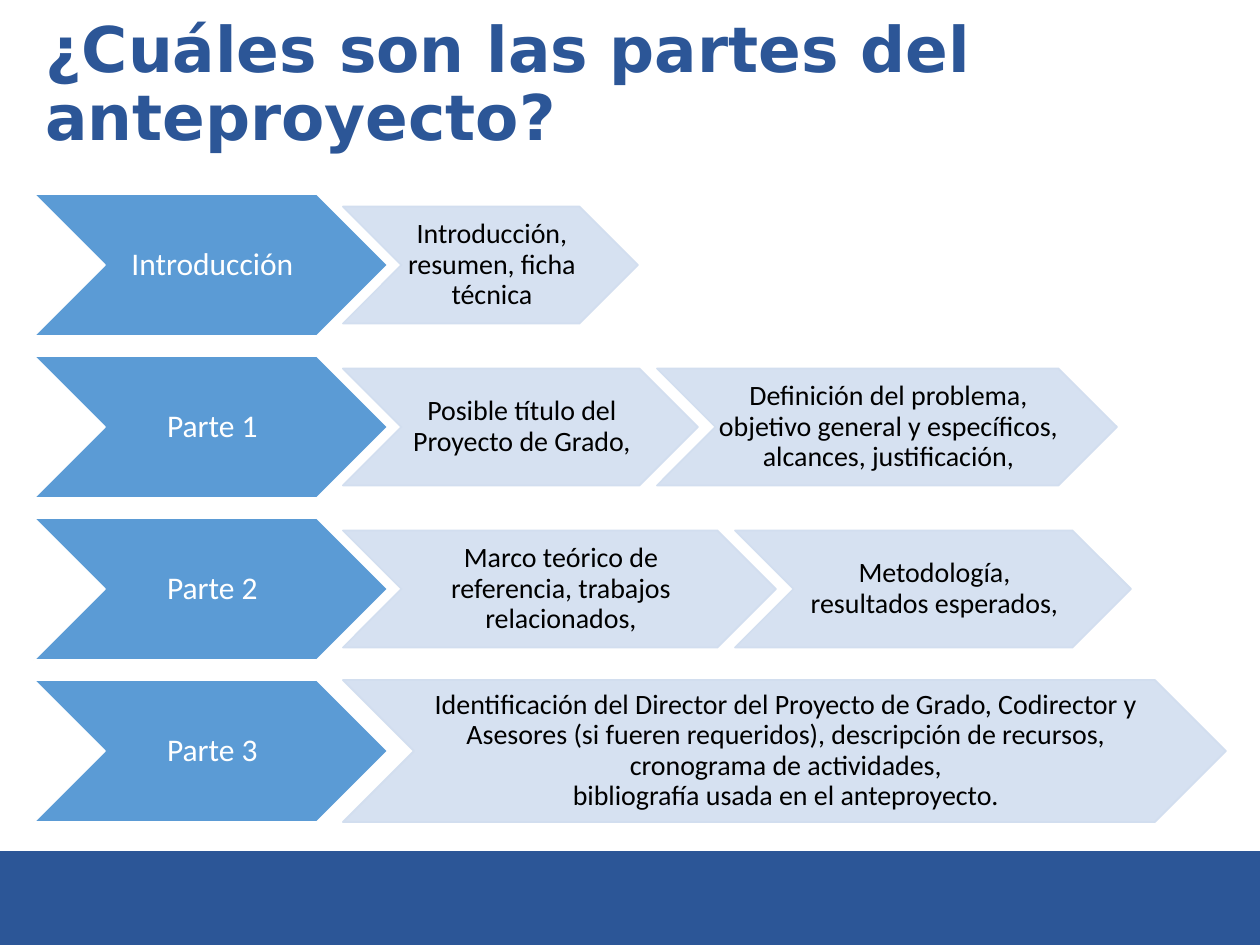
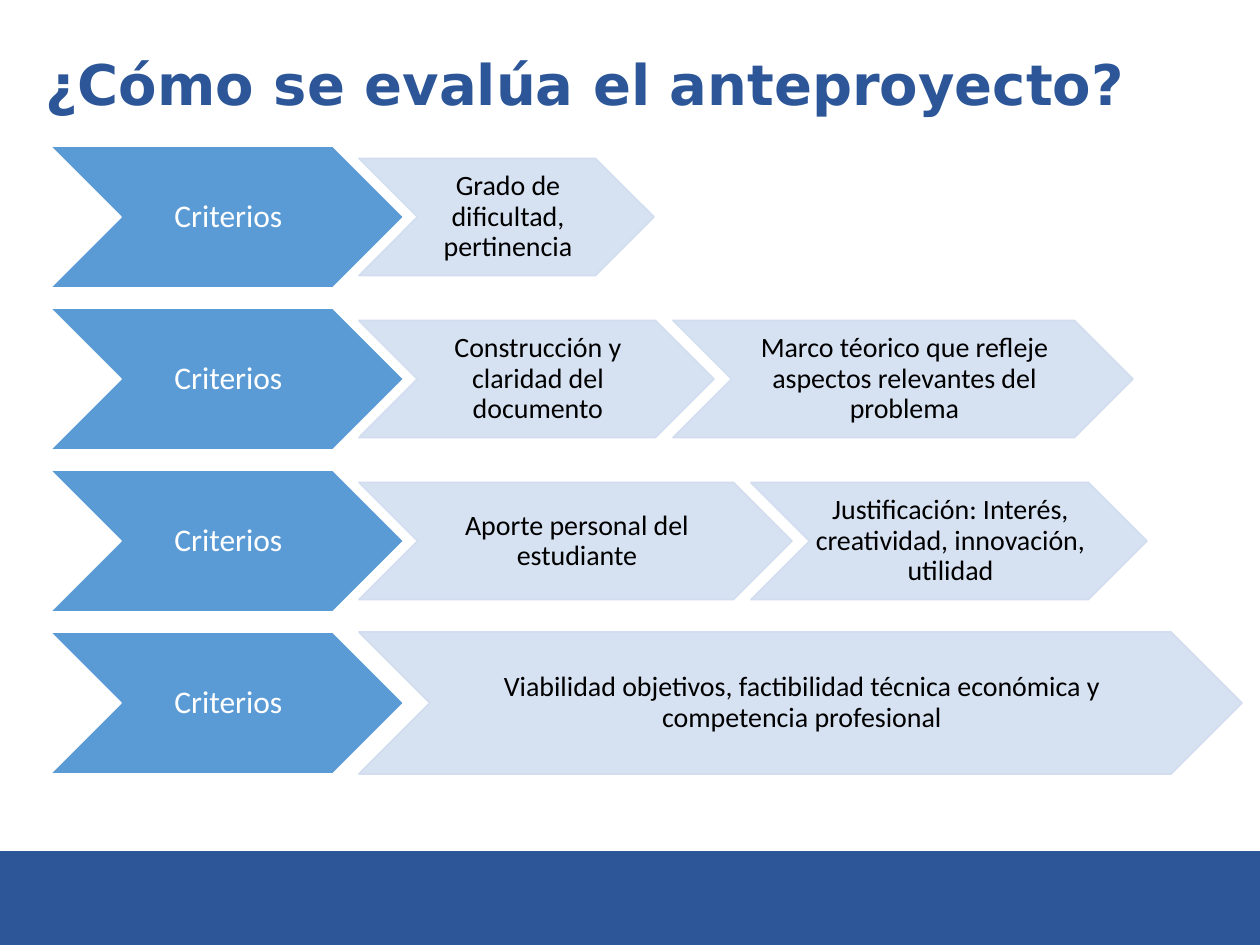
"""Build two slides on the parts and the grading of a draft project."""
from pptx import Presentation
from pptx.dml.color import RGBColor
from pptx.enum.shapes import MSO_SHAPE
from pptx.enum.text import MSO_ANCHOR, PP_ALIGN
from pptx.util import Emu, Pt

COLORS = {"navy": "2C5697", "blue": "5B9BD5", "pale": "D6E1F1",
          "edge": "D2DEEF", "white": "FFFFFF", "black": "000000"}
WIDE, HIGH = 1260, 945
BAND_TOP = 852
HEAD_W, HEAD_H, PITCH = 354, 142, 162
STEP_H, HEAD_LAP, STEP_LAP = 117, 45, 41
WIDTHS = [[295], [355, 460], [433, 396], [883]]

SLIDES = [
    {"title": "¿Cuáles son las partes del anteproyecto?",
     "size": 36, "box": (33, 10, 1193, 152), "start": (34, 194),
     "rows": [
         ("Introducción", ["Introducción, resumen, ficha técnica"]),
         ("Parte 1", ["Posible título del Proyecto de Grado,",
                      "Definición del problema,\nobjetivo general y "
                      "específicos, alcances, justificación,"]),
         ("Parte 2", ["Marco teórico de referencia, trabajos relacionados,",
                      "Metodología, resultados esperados,"]),
         ("Parte 3", ["Identificación del Director del Proyecto de Grado, "
                      "Codirector y Asesores (si fueren requeridos), "
                      "descripción de recursos, cronograma de actividades,\n"
                      "bibliografía usada en el anteproyecto."]),
     ]},
    {"title": "¿Cómo se evalúa el anteproyecto?",
     "size": 32, "box": (33, 28, 1193, 118), "start": (50, 146),
     "rows": [
         ("Criterios", ["Grado de dificultad, pertinencia"]),
         ("Criterios", ["Construcción y claridad del documento",
                        "Marco téorico que refleje aspectos relevantes "
                        "del problema"]),
         ("Criterios", ["Aporte personal del estudiante",
                        "Justificación: Interés, creatividad, innovación, "
                        "utilidad"]),
         ("Criterios", ["Viabilidad objetivos, factibilidad técnica "
                        "económica y competencia profesional"]),
     ]},
]


def px(num):
    return Emu(round(num * 914400 / 126))


def tint(name):
    return RGBColor.from_string(COLORS[name])


def add_form(slide, kind, box, fill, edge):
    form = slide.shapes.add_shape(kind, *map(px, box))
    form.shadow.inherit = False
    form.fill.solid()
    form.fill.fore_color.rgb = tint(fill)
    form.line.color.rgb = tint(edge)
    form.line.width = Pt(1)
    return form


def write(shape, text, font, size, color, bold=False, align=PP_ALIGN.LEFT):
    frame = shape.text_frame
    frame.word_wrap = True
    frame.vertical_anchor = MSO_ANCHOR.MIDDLE
    para = frame.paragraphs[0]
    para.text = text
    para.alignment = align
    para.line_spacing = 0.9
    for run in para.runs:
        run.font.name = font
        run.font.size = Pt(size)
        run.font.bold = bold
        run.font.color.rgb = tint(color)


def add_arrow(slide, box, text, fill, edge, size, color):
    arrow = add_form(slide, MSO_SHAPE.CHEVRON, box, fill, edge)
    frame = arrow.text_frame
    frame.margin_left, frame.margin_right = px(3), 0
    frame.margin_top = frame.margin_bottom = px(1)
    write(arrow, text, "Calibri", size, color, align=PP_ALIGN.CENTER)


def add_rows(slide, rows, start):
    left, top = start
    for (head, steps), widths in zip(rows, WIDTHS):
        add_arrow(slide, (left, top, HEAD_W, HEAD_H), head,
                  "blue", "white", 18, "white")
        x = left + HEAD_W - HEAD_LAP
        high = HEAD_H if widths == WIDTHS[-1] else STEP_H
        y = top + (HEAD_H - high) / 2
        for text, width in zip(steps, widths):
            add_arrow(slide, (x, y, width, high), text,
                      "pale", "edge", 16, "black")
            x += width - STEP_LAP
        top += PITCH


def main():
    deck = Presentation()
    deck.slide_width, deck.slide_height = px(WIDE), px(HIGH)
    for page in SLIDES:
        slide = deck.slides.add_slide(deck.slide_layouts[6])
        add_form(slide, MSO_SHAPE.RECTANGLE,
                 (0, BAND_TOP, WIDE, HIGH - BAND_TOP), "navy", "navy")
        title = slide.shapes.add_textbox(*map(px, page["box"]))
        write(title, page["title"], "DejaVu Sans", page["size"], "navy", True)
        add_rows(slide, page["rows"], page["start"])
    deck.save("out.pptx")


if __name__ == "__main__":
    main()
